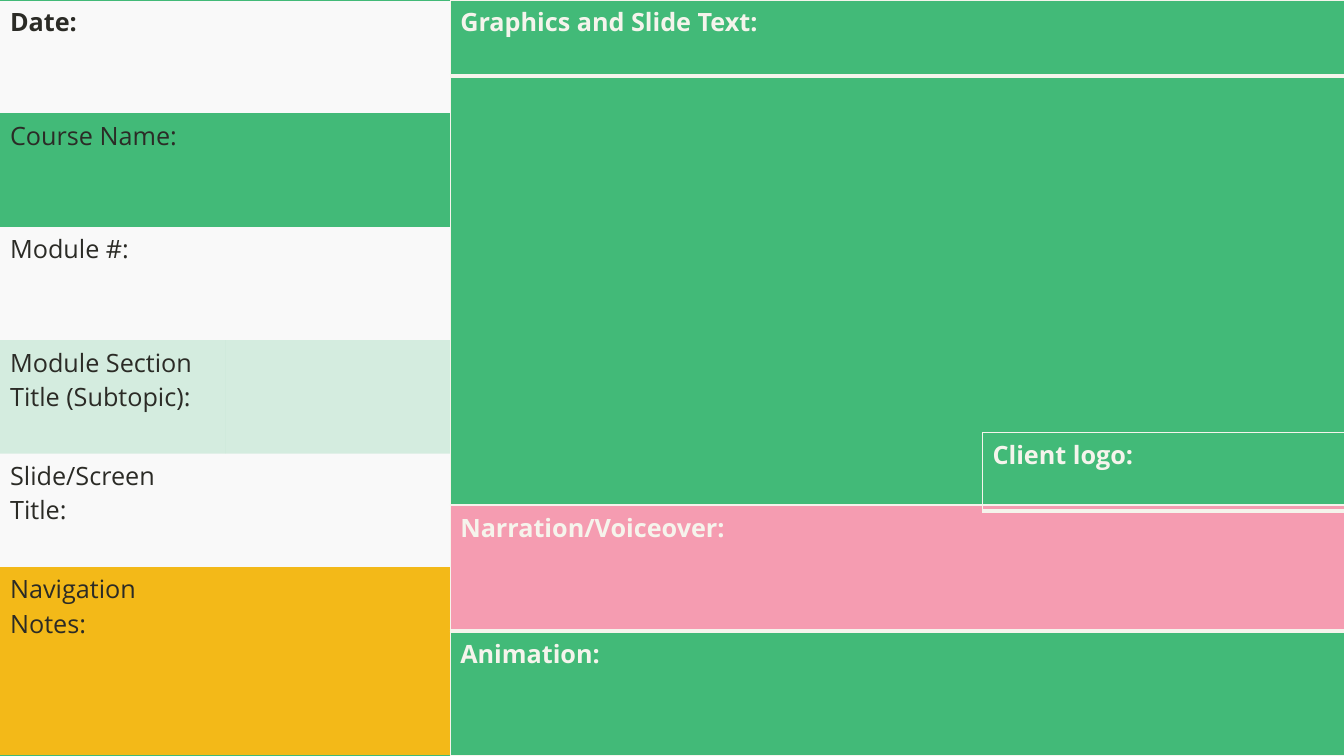
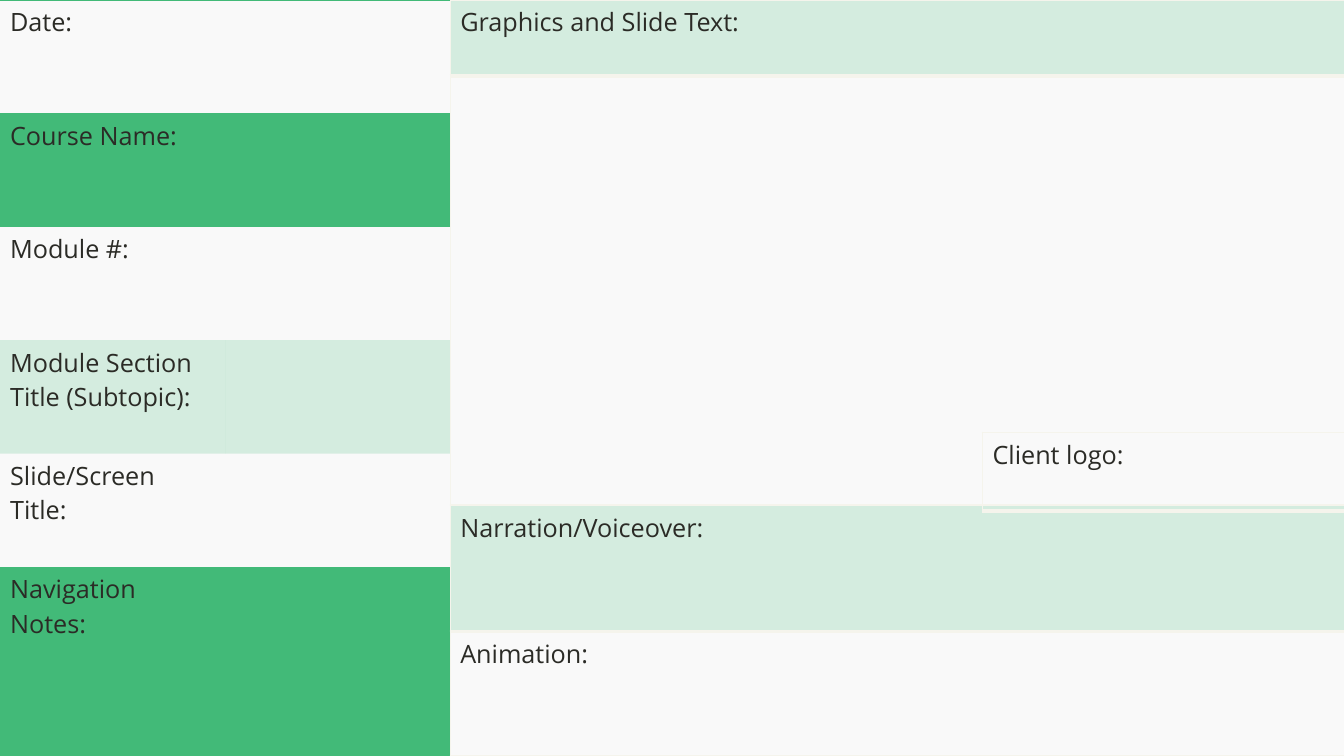
import pptx
import pptx.util
import pptx.dml.color
import pptx.oxml.ns
import lxml.etree

GREEN, YELLOW, PINK, MINT = "42BA78", "F3B918", "F59CB1", "D4ECDF"
PAPER, CREAM, INK = "F9F9F9", "F5F4EC", "2B2B26"
NO_STYLE = "{2D5ABB26-0587-4C30-8999-92F81FD0307C}"
qn = pptx.oxml.ns.qn

deck = pptx.Presentation()
deck.slide_width = pptx.util.Inches(13.33)
deck.slide_height = pptx.util.Inches(7.5)
W, H = deck.slide_width, deck.slide_height


def paint(fill, color, alpha=100):
    if color is None:
        fill.background()
        return
    fill.solid()
    fill.fore_color.rgb = pptx.dml.color.RGBColor.from_string(color)
    if alpha < 100:
        srgb = fill._xPr.find(".//" + qn("a:srgbClr"))
        lxml.etree.SubElement(srgb, qn("a:alpha"), val=str(alpha * 1000))


def format_cell(cell, label, ink, bold, color, alpha, line_color, widths):
    properties = cell._tc.get_or_add_tcPr()
    for side in "LRTB":
        width = widths.get(side, 0)
        line = lxml.etree.SubElement(properties, qn("a:ln" + side), w=str(pptx.util.Pt(width)))
        if width:
            solid = lxml.etree.SubElement(line, qn("a:solidFill"))
            lxml.etree.SubElement(solid, qn("a:srgbClr"), val=line_color)
        else:
            lxml.etree.SubElement(line, qn("a:noFill"))
    paint(cell.fill, color, alpha)
    if label:
        run = cell.text_frame.paragraphs[0].add_run()
        run.text = label
        run.font.name = "Open Sans"
        run.font.size = pptx.util.Pt(18)
        run.font.bold = bold
        paint(run.font.fill, ink)


paint(deck.slide_master.background.fill, PAPER)

info_labels = ["Date:", "Course Name:", "Module #:", "Module Section Title (Subtopic):",
               "Slide/Screen Title:", "Navigation Notes:"]
info_heights = [0.15] * 5 + [0.25]
info_borders = [{"T": 1, "B": 1}, {"T": 1}, {}, {}, {}, {"B": 1}]
info_width = 0.335

themes = [
    dict(bold=True, ink=CREAM, notes=YELLOW, header=GREEN, canvas=GREEN,
         narration=PINK, animation=GREEN, narration_line=3),
    dict(bold=False, ink=INK, notes=GREEN, header=MINT, canvas=None,
         narration=MINT, animation=None, narration_line=1),
]

for theme in themes:
    slide = deck.slides.add_slide(deck.slide_layouts[6])

    info_fills = [None, GREEN, None, GREEN, None, theme["notes"]]
    info_rows = [
        (label, height, INK, theme["bold"] and label == "Date:", color, 20, GREEN, borders)
        for label, height, color, borders
        in zip(info_labels, info_heights, info_fills, info_borders)
    ]
    panels = [(0, 0, info_width, 2, info_rows)]

    for left, top, content in [
        (info_width, 0, [
            ("Graphics and Slide Text:", 0.101, theme["header"], {"L": 1, "T": 1, "B": 3}),
            ("", 0.567, theme["canvas"], {"L": 1, "T": 3, "B": 1})]),
        (info_width, 0.669, [
            ("Narration/Voiceover:", 0.165, theme["narration"],
             {"L": 1, "T": 1, "B": theme["narration_line"]})]),
        (info_width, 0.836, [
            ("Animation:", 0.164, theme["animation"], {"L": 1, "T": 1, "B": 1})]),
        (0.731, 0.572, [
            ("Client logo:", 0.104, None, {"L": 1, "T": 1, "B": 3})]),
    ]:
        rows = [(label, height, theme["ink"], theme["bold"], color, 100, CREAM, borders)
                for label, height, color, borders in content]
        panels.append((left, top, 1 - left, 1, rows))

    for left, top, width, columns, rows in panels:
        total = sum(row[1] for row in rows)
        table = slide.shapes.add_table(
            len(rows), columns, int(left * W), int(top * H), int(width * W), int(total * H)
        ).table
        table.first_row = table.horz_banding = False
        table._tbl.tblPr.find(qn("a:tableStyleId")).text = NO_STYLE
        for index, (label, height, *look) in enumerate(rows):
            table.rows[index].height = int(height * H)
            for column in range(columns):
                format_cell(table.cell(index, column), "" if column else label, *look)

deck.save("out.pptx")
